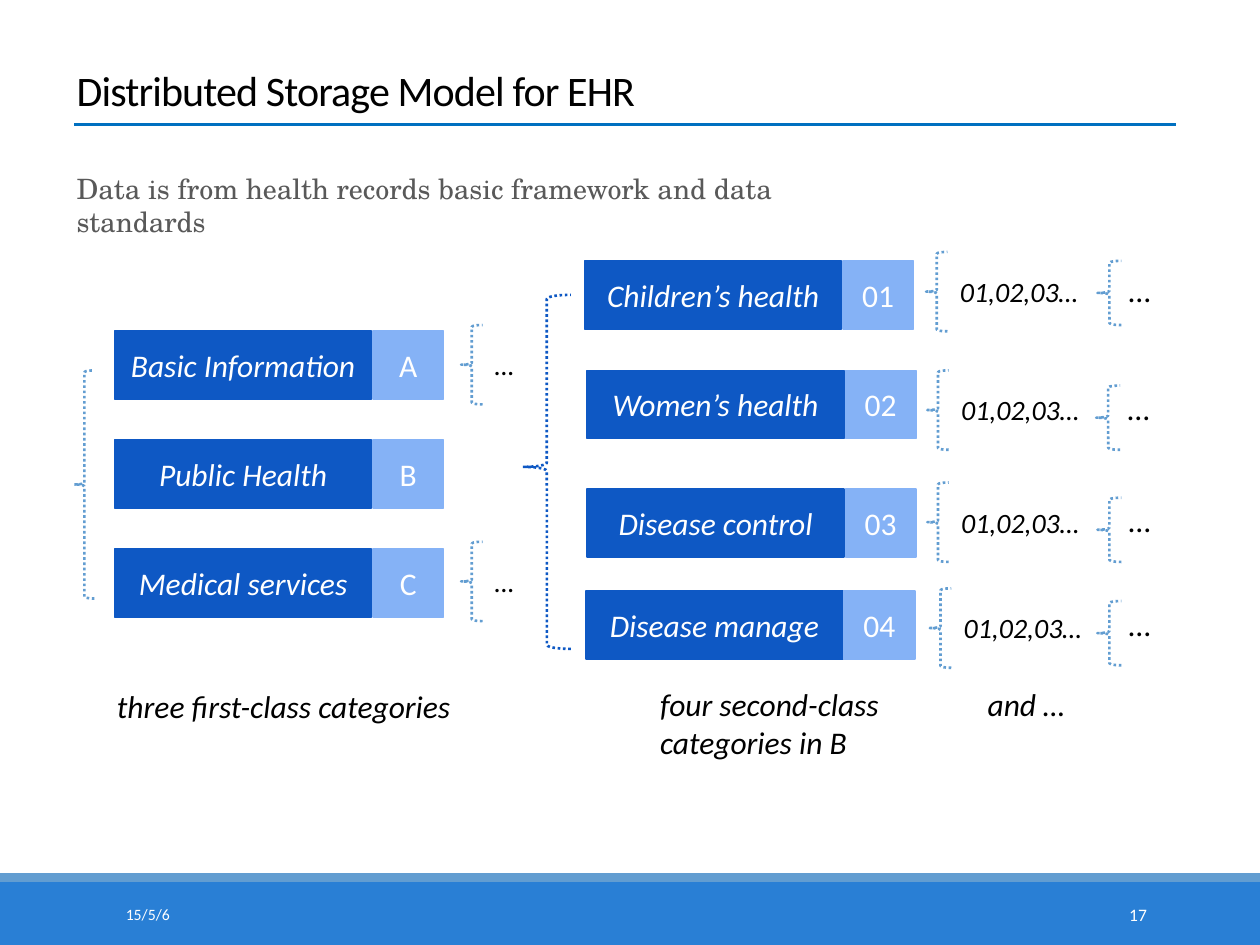
from dataclasses import dataclass

from lxml import etree
from pptx import Presentation
from pptx.dml.color import RGBColor
from pptx.enum.dml import MSO_LINE
from pptx.enum.shapes import MSO_CONNECTOR, MSO_SHAPE
from pptx.enum.text import MSO_ANCHOR, PP_ALIGN
from pptx.oxml.ns import qn
from pptx.util import Inches, Pt

RECT, BRACE = MSO_SHAPE.RECTANGLE, MSO_SHAPE.LEFT_BRACE
STRAIGHT, DOTTED = MSO_CONNECTOR.STRAIGHT, MSO_LINE.ROUND_DOT
LEFT, CENTER, RIGHT = PP_ALIGN.LEFT, PP_ALIGN.CENTER, PP_ALIGN.RIGHT
TOP, MIDDLE, BOTTOM = MSO_ANCHOR.TOP, MSO_ANCHOR.MIDDLE, MSO_ANCHOR.BOTTOM

BLACK = RGBColor(0x00, 0x00, 0x00)
WHITE = RGBColor(0xFF, 0xFF, 0xFF)
GRAY = RGBColor(0x59, 0x59, 0x59)
DEEP_BLUE = RGBColor(0x0E, 0x58, 0xC4)
PALE_BLUE = RGBColor(0x85, 0xB2, 0xF6)
BRACE_BLUE = RGBColor(0x62, 0x9D, 0xD1)
FOOTER_BLUE = RGBColor(0x29, 0x7F, 0xD5)
RULE_BLUE = RGBColor(0x00, 0x70, 0xC0)

COLS, ROWS = 100, 75
CELL = Inches(0.1)
BAR_W, CODE_W, BAR_H, CODE_DX = 20.4, 5.6, 5.4, 20.5
LABEL_H, LABEL_DY = 4, 0.7


@dataclass(frozen=True)
class Box:
    """A rectangle in grid columns and rows."""

    col: float
    row: float
    width: float
    height: float

    def emu(self) -> list[int]:
        """Return left, top, width and height as slide lengths."""
        return [round(n * CELL) for n in (self.col, self.row, self.width, self.height)]


@dataclass(frozen=True)
class Category:
    """A labelled bar with its code."""

    col: float
    row: float
    name: str
    code: str


@dataclass(frozen=True)
class Detail:
    """The subcodes and further levels beside a second-class category."""

    col: float
    row: float
    next_col: float
    next_row: float
    dots_row: float


FIRST_CLASS = [
    Category(9.1, 26.3, "Basic Information", "A"),
    Category(9.1, 34.9, "Public Health", "B"),
    Category(9.1, 43.6, "Medical services", "C"),
]
SECOND_CLASS = [
    Category(46.4, 20.7, "Children’s health", "01"),
    Category(46.6, 29.4, "Women’s health", "02"),
    Category(46.6, 38.8, "Disease control", "03"),
    Category(46.5, 46.9, "Disease manage", "04"),
]
DETAILS = [
    Detail(73.5, 20, 87.1, 20.7, 21),
    Detail(73.6, 29.4, 87, 30.6, 30.4),
    Detail(73.6, 38.3, 87.1, 39.5, 39.3),
    Detail(73.8, 46.7, 87.1, 47.7, 47.5),
]
CAPTIONS = [
    ("three first-class categories", Box(8.3, 54, 29.2, 4)),
    ("four second-class categories in B", Box(51.4, 53.9, 20.9, 7.1)),
    ("and …", Box(77.4, 53.9, 9.7, 4)),
]


def add_text(s, box: Box, text: str, size: float, color=BLACK, italic=False,
             align=LEFT, anchor=TOP, wrap=False, font="Calibri"):
    """Add one paragraph of text and return it."""
    tf = s.shapes.add_textbox(*box.emu()).text_frame
    tf.word_wrap, tf.vertical_anchor = wrap, anchor
    p = tf.paragraphs[0]
    p.add_run().text = text
    p.alignment = align
    p.font.name, p.font.size, p.font.italic = font, Pt(size), italic
    p.font.color.rgb = color
    return p


def add_block(s, box: Box, color: RGBColor, outlined=True) -> None:
    """Add a filled rectangle."""
    sp = s.shapes.add_shape(RECT, *box.emu())
    sp.shadow.inherit = False
    sp.fill.solid()
    sp.fill.fore_color.rgb = color
    if outlined:
        sp.line.color.rgb, sp.line.width = color, Pt(1)
    else:
        sp.line.fill.background()


def add_brace(s, box: Box, color: RGBColor = BRACE_BLUE):
    """Add a dotted left brace and return it."""
    sp = s.shapes.add_shape(BRACE, *box.emu())
    sp.shadow.inherit = False
    sp.fill.background()
    sp.line.color.rgb, sp.line.width, sp.line.dash_style = color, Pt(1.5), DOTTED
    return sp


def add_rule(s, col: float, row: float, width: float) -> None:
    """Add the rule under the title."""
    x, y, w, _ = Box(col, row, width, 0).emu()
    line = s.shapes.add_connector(STRAIGHT, x, y, x + w, y)
    line.line.color.rgb, line.line.width = RULE_BLUE, Pt(1.5)
    etree.SubElement(line._element.spPr, qn("a:effectLst"))


def add_category(s, c: Category) -> None:
    """Add a category bar and its code block."""
    parts = [(c.col, BAR_W, DEEP_BLUE, c.name, True),
             (c.col + CODE_DX, CODE_W, PALE_BLUE, c.code, False)]
    for col, width, color, text, italic in parts:
        add_block(s, Box(col, c.row, width, BAR_H), color)
        add_text(s, Box(col, c.row + LABEL_DY, width, LABEL_H), text, 18, WHITE,
                 italic, CENTER)


def add_branch(s, col: float, row: float, text: str, width: float) -> None:
    """Add a small brace with its subcodes."""
    add_brace(s, Box(col, row, 1.7, 6.3))
    add_text(s, Box(col + 1.7, row + 1.3, width, 3.7), text, 16, italic=True)


def add_detail(s, d: Detail) -> None:
    """Add subcodes followed by a further level."""
    add_branch(s, d.col, d.row, "01,02,03…", 11.5)
    add_brace(s, Box(d.next_col, d.next_row, 1.9, 5.1))
    add_text(s, Box(d.next_col + 1.5, d.dots_row, 3.8, 4), "…", 18)


def main() -> None:
    """Build and save the slide."""
    prs = Presentation()
    prs.slide_width, prs.slide_height = COLS * CELL, ROWS * CELL
    s = prs.slides.add_slide(prs.slide_layouts[6])

    add_block(s, Box(0, 70, COLS, 5), FOOTER_BLUE, outlined=False)
    add_block(s, Box(0, 69.3, COLS, 0.7), BRACE_BLUE, outlined=False)
    p = add_text(s, Box(5.1, 3.6, 75, 6), "Distributed Storage Model for EHR", 24,
                 anchor=BOTTOM, wrap=True)
    p.line_spacing = 0.85
    p.runs[0]._r.get_or_add_rPr().set("spc", "-50")
    add_rule(s, 5.9, 9.9, 87.4)
    add_text(s, Box(5.1, 13.1, 65.1, 3.7),
             "Data is from health records basic framework and data standards",
             16, GRAY, wrap=True, font="TeX Gyre Schola")

    for c in FIRST_CLASS + SECOND_CLASS:
        add_category(s, c)
    add_brace(s, Box(5.9, 29.4, 1.6, 18.1))
    for row in (25.8, 43):
        add_branch(s, 36.6, row, "…", 3.6)
    sp = add_brace(s, Box(41.5, 23.4, 3.8, 28.1), DEEP_BLUE)
    sp.adjustments[1] = 0.486
    for d in DETAILS:
        add_detail(s, d)

    for text, box in CAPTIONS:
        add_text(s, box, text, 18, italic=True, wrap=True)
    add_text(s, Box(9, 70.6, 20.3, 4), "15/5/6", 9, WHITE, anchor=MIDDLE, wrap=True)
    add_text(s, Box(81.2, 70.6, 10.8, 4), "17", 10, WHITE, align=RIGHT,
             anchor=MIDDLE, wrap=True)
    prs.save("out.pptx")


if __name__ == "__main__":
    main()
